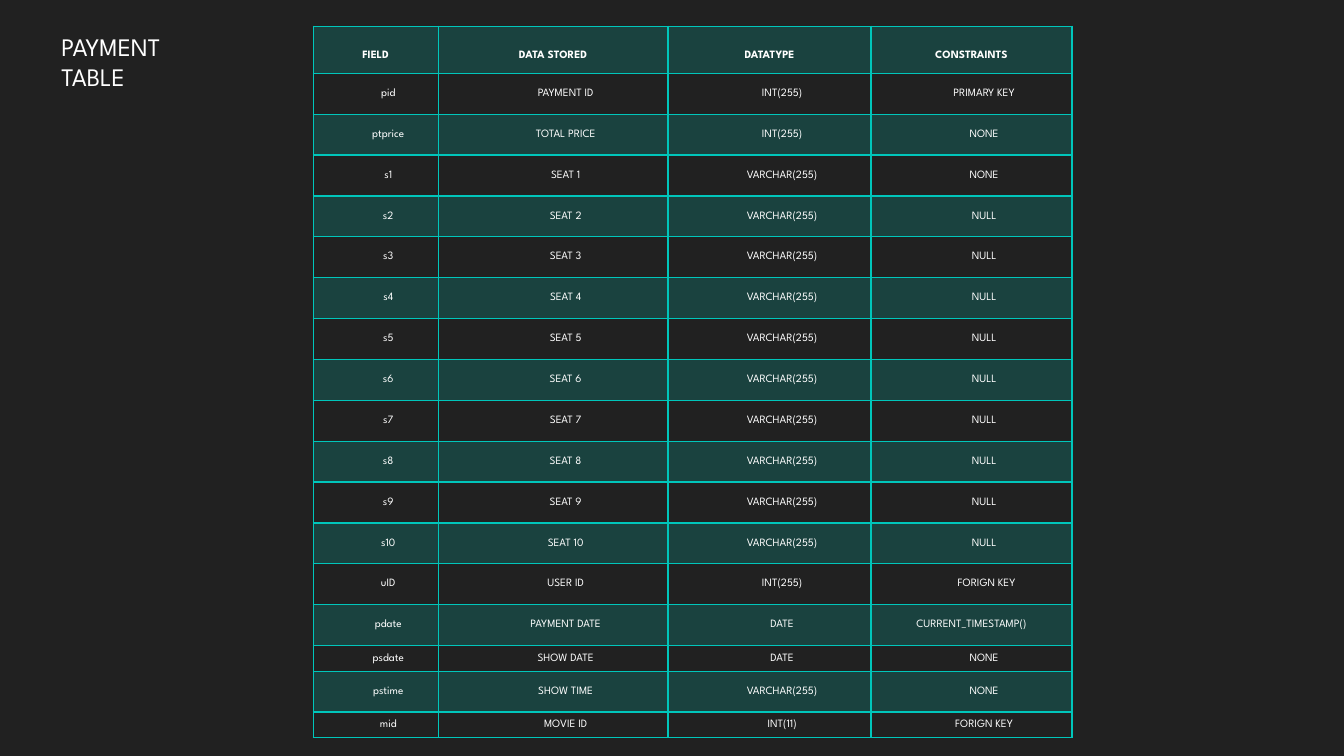
from lxml import etree
from pptx import Presentation
from pptx.dml.color import RGBColor
from pptx.enum.text import MSO_ANCHOR, MSO_AUTO_SIZE, PP_ALIGN
from pptx.oxml.ns import qn
from pptx.util import Pt

LEFT, CENTER = PP_ALIGN.LEFT, PP_ALIGN.CENTER
TOP, MIDDLE = MSO_ANCHOR.TOP, MSO_ANCHOR.MIDDLE
GROW = MSO_AUTO_SIZE.SHAPE_TO_FIT_TEXT
FONT, WHITE, DARK, TEAL = "League Spartan", "FFFFFF", "212121", "00C6BB"


def color(value):
    return RGBColor.from_string(value)


def format_text(para, align, **values):
    para.alignment = align
    for name, value in {"name": FONT, **values}.items():
        setattr(para.font, name, value)
    para.font.color.rgb = color(WHITE)


deck = Presentation()
deck.slide_width, deck.slide_height = Pt(960), Pt(540)
page = deck.slides.add_slide(deck.slide_layouts[5])
page.background.fill.solid()
page.background.fill.fore_color.rgb = color(DARK)

# Title
title = page.shapes.title
box = {"left": 36.7, "top": 18.7, "width": 219.6, "height": 51.1}
for name, value in box.items():
    setattr(title, name, Pt(value))
frame = title.text_frame
frame.text = "PAYMENT\nTABLE"
frame.word_wrap, frame.auto_size, frame.vertical_anchor = True, GROW, TOP
for para in frame.paragraphs:
    format_text(para, LEFT, size=Pt(18))

# Table contents
seats = [
    (f"s{n}", f"SEAT {n}", "VARCHAR(255)", "NONE" if n == 1 else "NULL")
    for n in range(1, 11)
]
records = [
    ("FIELD", "DATA STORED", "DATATYPE", "CONSTRAINTS"),
    ("pid", "PAYMENT ID", "INT(255)", "PRIMARY KEY"),
    ("ptprice", "TOTAL PRICE", "INT(255)", "NONE"),
    *seats,
    ("uID", "USER ID", "INT(255)", "FORIGN KEY"),
    ("pdate", "PAYMENT DATE", "DATE", "CURRENT_TIMESTAMP()"),
    ("psdate", "SHOW DATE", "DATE", "NONE"),
    ("pstime", "SHOW TIME", "VARCHAR(255)", "NONE"),
    ("mid", "MOVIE ID", "INT(11)", "FORIGN KEY"),
]
widths = [89.3, 164.2, 145, 143.6]
special_heights = {"FIELD": 33.7, "psdate": 18.3, "mid": 18.3}
heights = [special_heights.get(record[0], 29.2) for record in records]
special_indents = {("uID", "FORIGN KEY"): 21.6, ("pdate", "CURRENT_TIMESTAMP()"): 0}

# Table grid
table = page.shapes.add_table(
    len(records), len(widths), Pt(223.7), Pt(18.7), Pt(sum(widths)), Pt(sum(heights))
).table
table.first_row = table.horz_banding = False
for column, width in zip(table.columns, widths):
    column.width = Pt(width)
for row, height in zip(table.rows, heights):
    row.height = Pt(height)

# Cells
for r, record in enumerate(records):
    header = r == 0
    margins = {"left": 4.3, "right": 4.3, "top": 10.8 if header else 2.2, "bottom": 2.2}
    for c, text in enumerate(record):
        cell = table.cell(r, c)
        cell.text = text
        cell.vertical_anchor = MIDDLE
        for side, value in margins.items():
            setattr(cell, f"margin_{side}", Pt(value))
        para = cell.text_frame.paragraphs[0]
        format_text(para, CENTER, size=Pt(8), bold=header)
        if not header:
            para.space_before = Pt(5.5)
            indent = special_indents.get((record[0], text), 18)
            para._p.get_or_add_pPr().set("indent", str(Pt(indent)))

        # Borders come before the fill in the cell properties
        properties = cell._tc.get_or_add_tcPr()
        for edge in ("lnL", "lnR", "lnT", "lnB"):
            line = etree.SubElement(properties, qn(f"a:{edge}"), w=str(Pt(1)))
            paint = etree.SubElement(line, qn("a:solidFill"))
            etree.SubElement(paint, qn("a:srgbClr"), val=TEAL)

        # Even rows carry a translucent teal band
        if r % 2 == 0:
            cell.fill.solid()
            cell.fill.fore_color.rgb = color(TEAL)
            tint = properties.find(qn("a:solidFill")).find(qn("a:srgbClr"))
            etree.SubElement(tint, qn("a:alpha"), val="20000")
        else:
            cell.fill.background()

deck.save("out.pptx")
